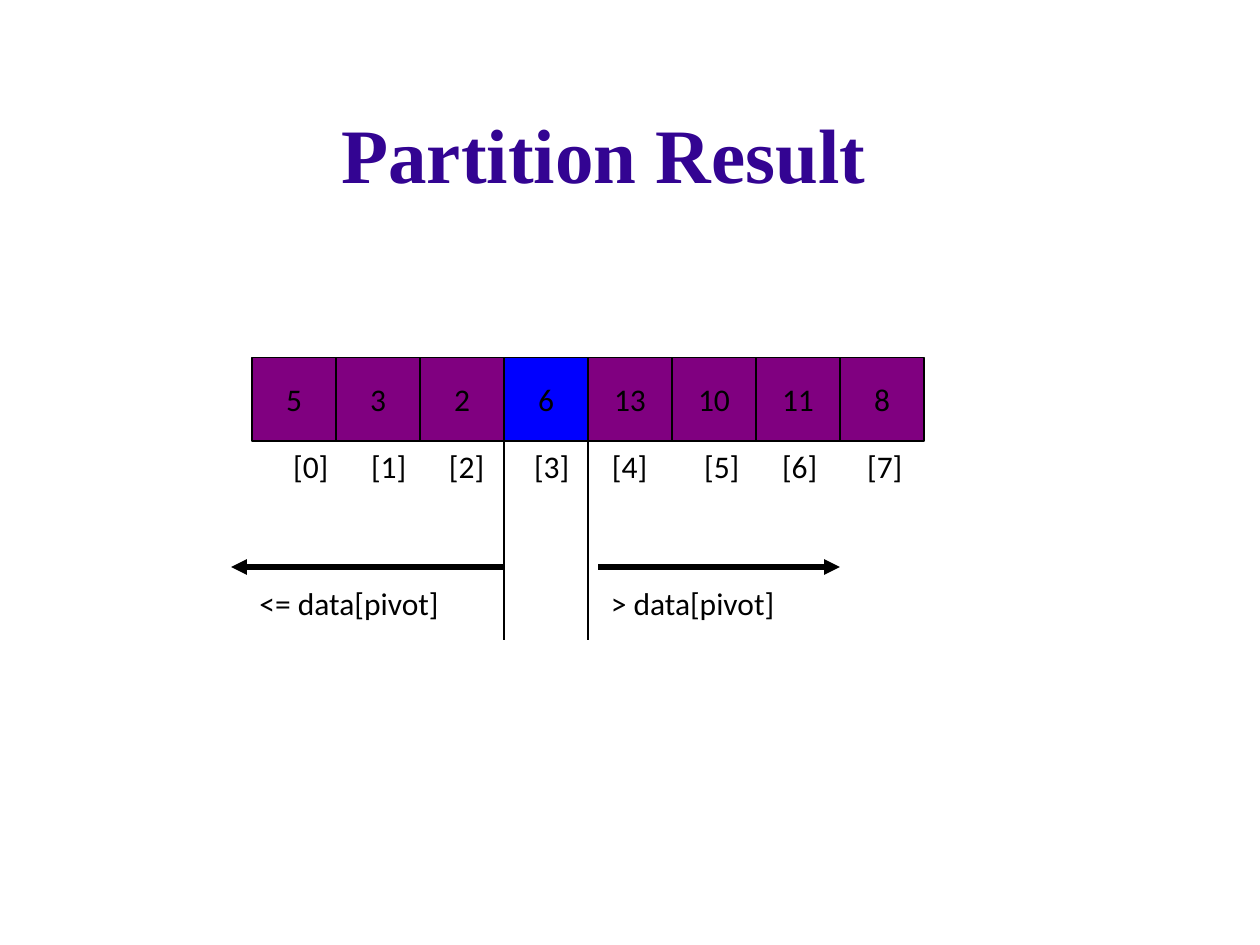
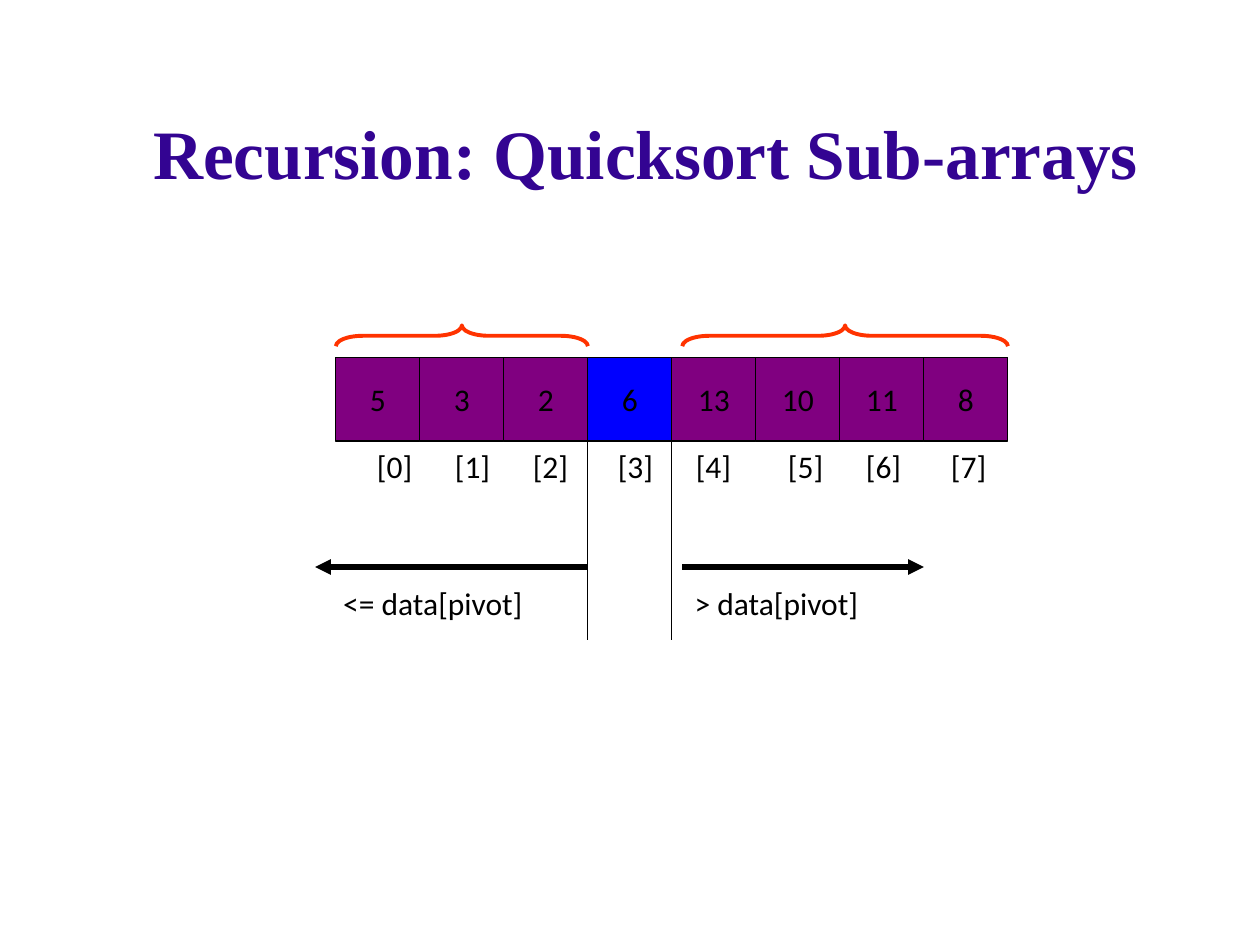
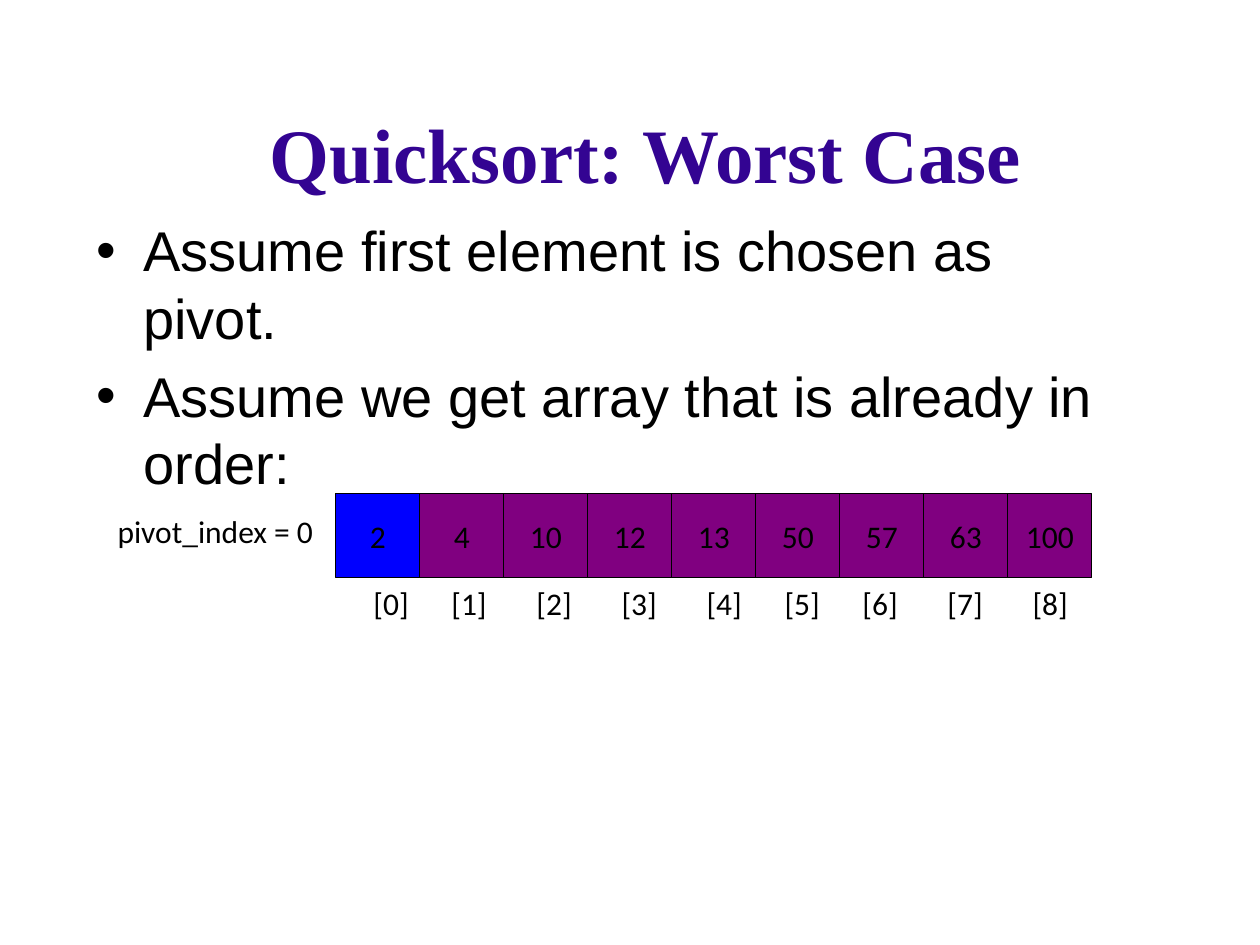
from itertools import accumulate

from lxml import etree
from pptx import Presentation
from pptx import util as u
from pptx.dml.color import RGBColor
from pptx.enum import shapes, text
from pptx.oxml.ns import qn

BLACK = RGBColor(0x00, 0x00, 0x00)
INDIGO = RGBColor(0x33, 0x04, 0x92)
PURPLE = RGBColor(0x80, 0x00, 0x80)
BLUE = RGBColor(0x00, 0x00, 0xFF)
ORANGE = RGBColor(0xFF, 0x33, 0x00)

TITLE_FONT = "Times New Roman"
BODY_FONT = "Arial"
LABEL_FONT = "Calibri"

CELL = 5.08 / 3
ROW_TOP = 7.2
INDENT = 0.95
BRACKET_WIDTH = 0.71
SPACE_WIDTH = 0.1435


class Deck:
    def __init__(self):
        self.deck = Presentation()
        self.deck.slide_width = u.Cm(25.4)
        self.deck.slide_height = u.Cm(19.05)
        self.page = None

    def add_page(self, title, left=2.33, size=44):
        self.page = self.deck.slides.add_slide(self.deck.slide_layouts[6])
        frame = self.add_frame(left, 1.48, 21.38, 3.18)
        frame.vertical_anchor = text.MSO_ANCHOR.MIDDLE
        frame.paragraphs[0].alignment = text.PP_ALIGN.CENTER
        self.add_span(frame.paragraphs[0], title, TITLE_FONT, size, INDIGO, True)

    def add_frame(self, left, top, width, height):
        box = self.page.shapes.add_textbox(*map(u.Cm, (left, top, width, height)))
        box.text_frame.word_wrap = True
        return box.text_frame

    def add_span(self, para, words, font=LABEL_FONT, size=18, color=BLACK, bold=False):
        span = para.add_run()
        span.text = words
        span.font.name = font
        span.font.size = u.Pt(size)
        span.font.bold = bold
        span.font.color.rgb = color

    def add_label(self, words, left, top, width):
        para = self.add_frame(left, top, width, 1.02).paragraphs[0]
        self.add_span(para, words)
        return para

    def add_bullets(self, lines, left, top, width, height):
        frame = self.add_frame(left, top, width, height)
        for number, line in enumerate(lines):
            para = frame.add_paragraph() if number else frame.paragraphs[0]
            para.space_before = u.Pt(6.4)
            self.add_span(para, line, BODY_FONT, 32)
            properties = para._p.get_or_add_pPr()
            properties.set("marL", str(u.Cm(INDENT)))
            properties.set("indent", str(-u.Cm(INDENT)))
            etree.SubElement(properties, qn("a:buFont"), typeface=BODY_FONT)
            etree.SubElement(properties, qn("a:buChar"), char="•")

    def add_cells(self, values, pivot, left, top):
        for index, value in enumerate(values):
            cell = self.page.shapes.add_shape(
                shapes.MSO_SHAPE.RECTANGLE,
                *map(u.Cm, (left + index * CELL, top, CELL, CELL)))
            cell.shadow.inherit = False
            cell.fill.solid()
            cell.fill.fore_color.rgb = BLUE if index == pivot else PURPLE
            cell.line.color.rgb = BLACK
            cell.line.width = u.Pt(0.75)
            frame = cell.text_frame
            frame.word_wrap = False
            frame.vertical_anchor = text.MSO_ANCHOR.MIDDLE
            frame.paragraphs[0].alignment = text.PP_ALIGN.CENTER
            self.add_span(frame.paragraphs[0], str(value))

    def add_indices(self, gaps, left, top, width):
        words = "\t".join(f"[{index}]" for index in range(len(gaps) + 1))
        para = self.add_label(words, left, top, width)
        tabs = etree.SubElement(para._p.get_or_add_pPr(), qn("a:tabLst"))
        for stop in accumulate(BRACKET_WIDTH + SPACE_WIDTH * gap for gap in gaps):
            etree.SubElement(tabs, qn("a:tab"), pos=str(u.Cm(stop)), algn="l")

    def add_line(self, start, end, width=0.75, arrow=False):
        line = self.page.shapes.add_connector(
            shapes.MSO_CONNECTOR.STRAIGHT, *map(u.Cm, (*start, *end)))
        line.line.color.rgb = BLACK
        line.line.width = u.Pt(width)
        if arrow:
            etree.SubElement(line.line._get_or_add_ln(), qn("a:tailEnd"), type="triangle")
        etree.SubElement(line._element.spPr, qn("a:effectLst"))

    def add_brace(self, start, end, middle=6.77, depth=0.42):
        length = end - start
        brace = self.page.shapes.add_shape(
            shapes.MSO_SHAPE.LEFT_BRACE,
            *map(u.Cm, ((start + end - depth) / 2, middle - length / 2, depth, length)))
        brace.rotation = 90
        brace.adjustments[0] = 1.29
        brace.shadow.inherit = False
        brace.fill.background()
        brace.line.color.rgb = ORANGE
        brace.line.width = u.Pt(2.25)

    def add_partition(self, left):
        pivot = 3
        pivot_left = left + pivot * CELL
        pivot_right = pivot_left + CELL
        self.add_cells((5, 3, 2, 6, 13, 10, 11, 8), pivot, left, ROW_TOP)
        for edge in (pivot_left, pivot_right):
            self.add_line((edge, ROW_TOP), (edge, 12.91))
        self.add_line((pivot_left, 11.43), (left - 0.42, 11.43), 3, True)
        self.add_line((pivot_right + 0.21, 11.43), (left + 7 * CELL, 11.43), 3, True)
        self.add_label("<= data[pivot]", left - 0.1, 11.64, 5.38)
        self.add_label("> data[pivot]", pivot_right + 0.21, 11.64, 4.9)
        self.add_indices((6, 6, 7, 6, 8, 6, 7), left + 0.58, ROW_TOP + CELL, 16.15)


def main():
    deck = Deck()

    deck.add_page("Partition Result", left=1.48)
    deck.add_partition(5.08)

    array_left = 6.77
    deck.add_page("Recursion: Quicksort Sub-arrays", size=39.6)
    deck.add_brace(array_left, array_left + 3 * CELL)
    deck.add_brace(array_left + 4 * CELL + 0.21, array_left + 8 * CELL)
    deck.add_partition(array_left)

    sorted_top = 9.95
    deck.add_page("Quicksort: Worst Case")
    deck.add_bullets(("Assume first element is chosen as pivot.",
                      "Assume we get array that is already in order:"),
                     1.69, 4.23, 21.38, 11.22)
    deck.add_cells((2, 4, 10, 12, 13, 50, 57, 63, 100), 0, array_left, sorted_top)
    deck.add_label("pivot_index = 0", 2.12, 10.2, 4.55)
    deck.add_indices((6, 7, 7, 7, 6, 6, 7, 7), array_left + 0.51, sorted_top + CELL, 14.9)

    deck.deck.save("out.pptx")


if __name__ == "__main__":
    main()
